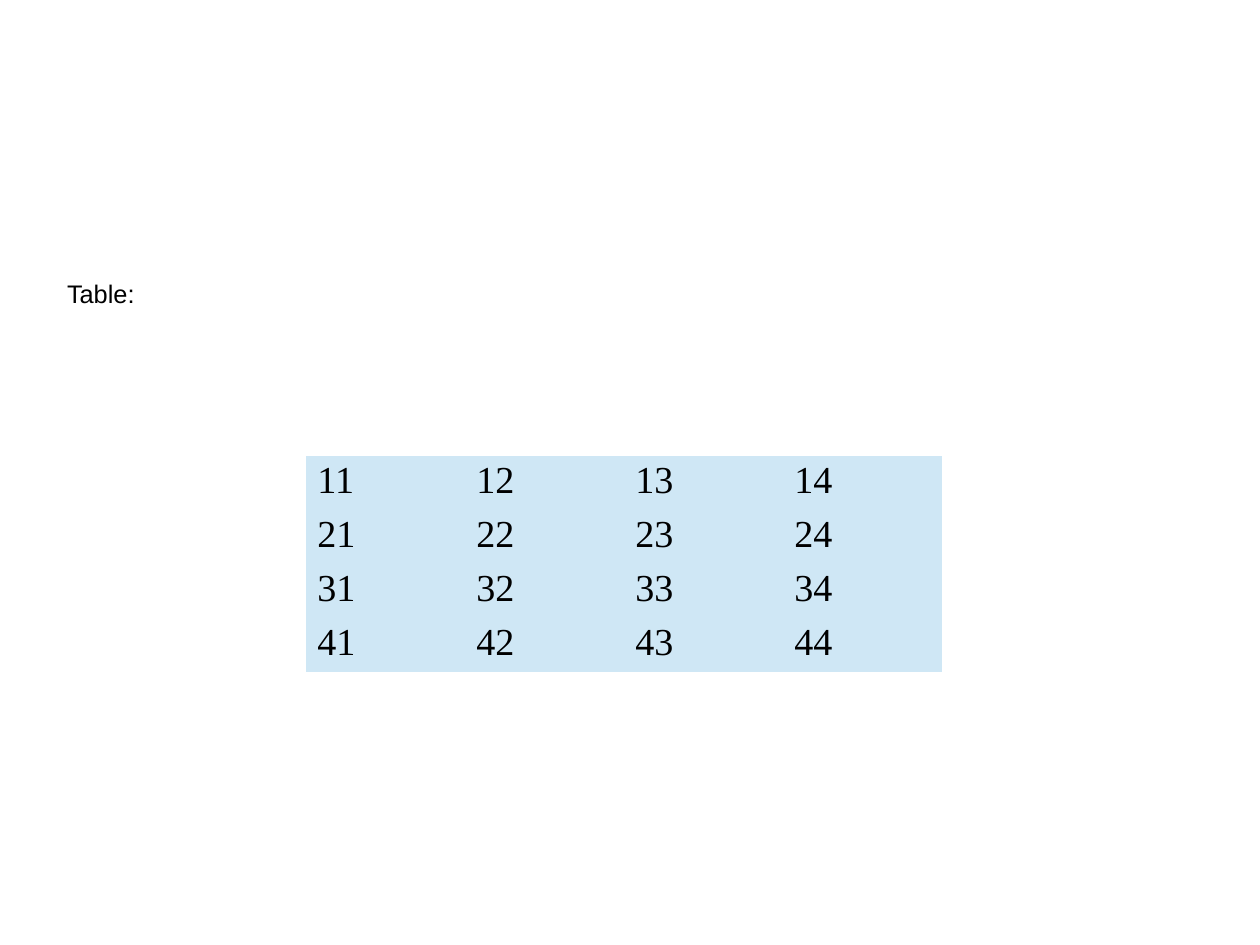
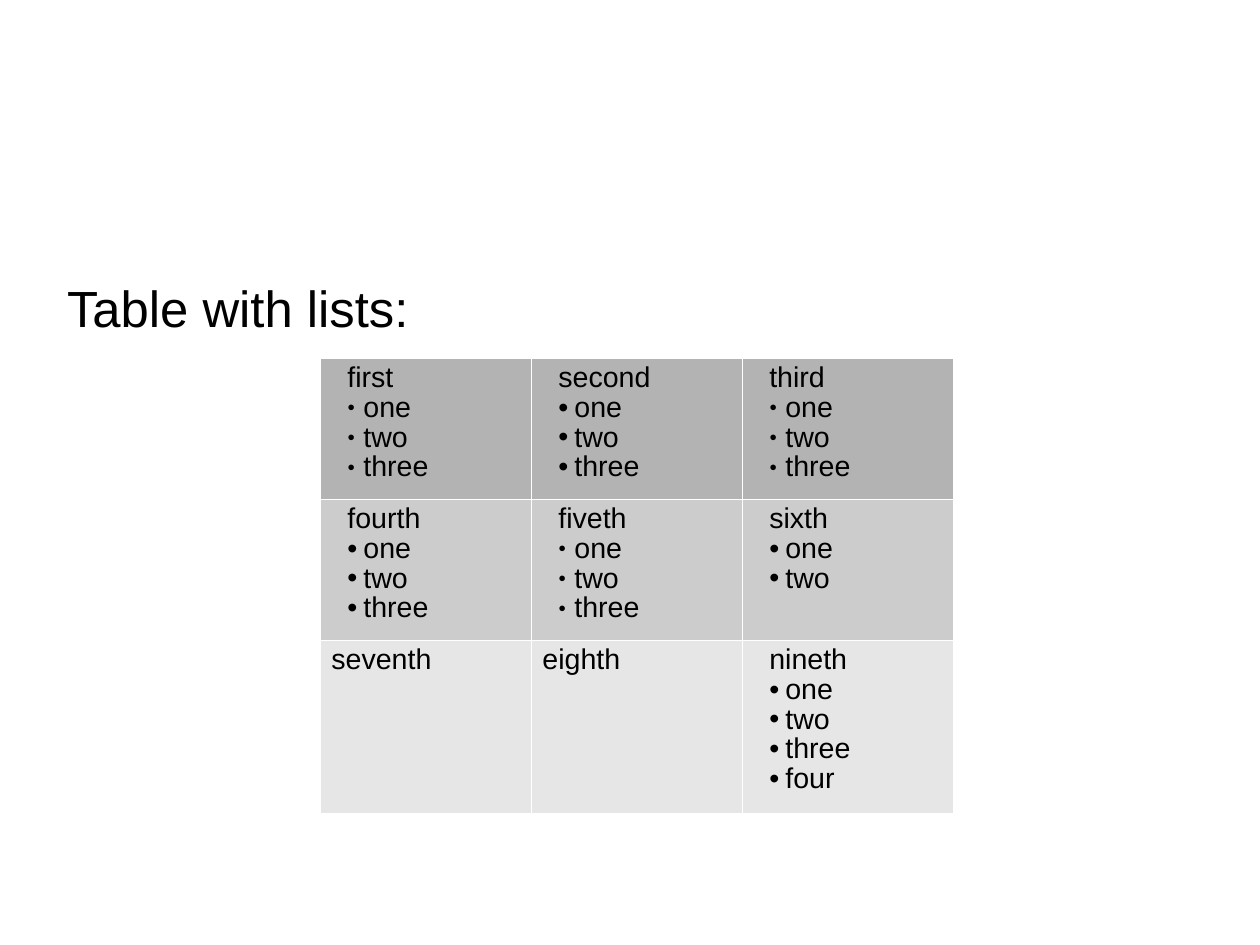
from dataclasses import dataclass

from lxml import etree
from pptx import Presentation
from pptx import util as u
from pptx.dml import color
from pptx.oxml import ns

PX = 8000  # EMU per px
SLIDE_WIDTH, SLIDE_HEIGHT = 1260, 945
SANS, SERIF = "Arial", "Times New Roman"
BLACK, WHITE, PALE_BLUE = "000000", "FFFFFF", "CFE7F5"
ROW_GREYS = ("B3B3B3", "CCCCCC", "E6E6E6")
LINE_SPACING = 0.93
NO_STYLE_NO_GRID = "{2D5ABB26-0587-4C30-8999-92F81FD0307C}"
BORDER_WIDTH = u.Pt(0.06)
LIST_INDENT, LIST_HANG = 32, 16


@dataclass(frozen=True)
class Bullet:
    character: str
    percent: int


SMALL = Bullet("●", 45)
LARGE = Bullet("•", 100)


@dataclass(frozen=True)
class Cell:
    heading: str
    items: tuple[str, ...] = ()
    bullet: Bullet = LARGE


@dataclass(frozen=True)
class TableLayout:
    left: int
    top: int
    column_width: int
    row_heights: tuple[int, ...]
    fills: tuple[str, ...]
    font_name: str
    font_size: int
    border: str | None = None


THREE = ("one", "two", "three")
NUMBER_CELLS = [[Cell(f"{row}{column}") for column in range(1, 5)] for row in range(1, 5)]
LIST_CELLS = [
    [Cell("first", THREE, SMALL), Cell("second", THREE), Cell("third", THREE, SMALL)],
    [Cell("fourth", THREE), Cell("fiveth", THREE, SMALL), Cell("sixth", THREE[:2])],
    [Cell("seventh"), Cell("eighth"), Cell("nineth", THREE + ("four",))],
]
NUMBER_TABLE = TableLayout(306, 456, 159, (46,) * 4, (PALE_BLUE,) * 4, SERIF, 24)
LIST_TABLE = TableLayout(320, 358, 211, (141, 141, 173), ROW_GREYS, SANS, 18, WHITE)


def px(length: int) -> u.Emu:
    return u.Emu(length * PX)


def rgb(value: str) -> color.RGBColor:
    return color.RGBColor.from_string(value)


def add_element(parent, tag: str, **attributes):
    element = etree.SubElement(parent, ns.qn(tag))
    for name, value in attributes.items():
        element.set(name, str(value))
    return element


def style_paragraph(paragraph, font_name: str, size: int) -> None:
    paragraph.line_spacing = LINE_SPACING
    paragraph.font.name = font_name
    paragraph.font.size = u.Pt(size)
    paragraph.font.color.rgb = rgb(BLACK)


def set_list_indent(paragraph, bullet: Bullet | None) -> None:
    """Hang the paragraph; must run before its font is set, to keep the XML order."""
    properties = paragraph._p.get_or_add_pPr()
    properties.set("marL", str(px(LIST_INDENT)))
    properties.set("indent", str(-px(LIST_HANG)))
    if bullet is None:
        add_element(properties, "a:buNone")
        return
    add_element(add_element(properties, "a:buClr"), "a:srgbClr", val=BLACK)
    add_element(properties, "a:buSzPct", val=bullet.percent * 1000)
    add_element(properties, "a:buFont", typeface=SANS)
    add_element(properties, "a:buChar", char=bullet.character)


def set_borders(table_cell, line_color: str) -> None:
    """Draw all four borders; must run before the cell is filled."""
    properties = table_cell._tc.get_or_add_tcPr()
    for side in "LRTB":
        line = add_element(properties, f"a:ln{side}", w=BORDER_WIDTH)
        add_element(add_element(line, "a:solidFill"), "a:srgbClr", val=line_color)


def fill_cell(table_cell, cell: Cell, fill: str, layout: TableLayout) -> None:
    if layout.border:
        set_borders(table_cell, layout.border)
    table_cell.fill.solid()
    table_cell.fill.fore_color.rgb = rgb(fill)
    frame = table_cell.text_frame
    frame.text = "\n".join((cell.heading, *cell.items))
    for index, paragraph in enumerate(frame.paragraphs):
        if cell.items:
            set_list_indent(paragraph, cell.bullet if index else None)
        style_paragraph(paragraph, layout.font_name, layout.font_size)


def add_table(slide, layout: TableLayout, rows: list[list[Cell]]) -> None:
    columns = len(rows[0])
    frame = slide.shapes.add_table(
        len(rows), columns, px(layout.left), px(layout.top),
        px(layout.column_width * columns), px(sum(layout.row_heights)))
    table = frame.table
    table.first_row = table.horz_banding = False
    table._tbl.tblPr.find(ns.qn("a:tableStyleId")).text = NO_STYLE_NO_GRID
    for row_index, cells in enumerate(rows):
        table.rows[row_index].height = px(layout.row_heights[row_index])
        for column_index, cell in enumerate(cells):
            fill_cell(table.cell(row_index, column_index), cell,
                      layout.fills[row_index], layout)


def add_caption(slide, caption: str, size: int, top_margin: int) -> None:
    frame = slide.shapes.add_textbox(px(67), px(279), px(1103), px(549)).text_frame
    frame.word_wrap = True
    frame.margin_left = frame.margin_right = frame.margin_bottom = 0
    frame.margin_top = px(top_margin)
    frame.text = caption
    style_paragraph(frame.paragraphs[0], SANS, size)


def main() -> None:
    presentation = Presentation()
    presentation.slide_width = px(SLIDE_WIDTH)
    presentation.slide_height = px(SLIDE_HEIGHT)
    blank = presentation.slide_layouts[6]

    numbers_slide = presentation.slides.add_slide(blank)
    add_caption(numbers_slide, "Table:", 16, 2)
    add_table(numbers_slide, NUMBER_TABLE, NUMBER_CELLS)

    lists_slide = presentation.slides.add_slide(blank)
    add_caption(lists_slide, "Table with lists:", 32, 3)
    add_table(lists_slide, LIST_TABLE, LIST_CELLS)

    presentation.save("out.pptx")


if __name__ == "__main__":
    main()
